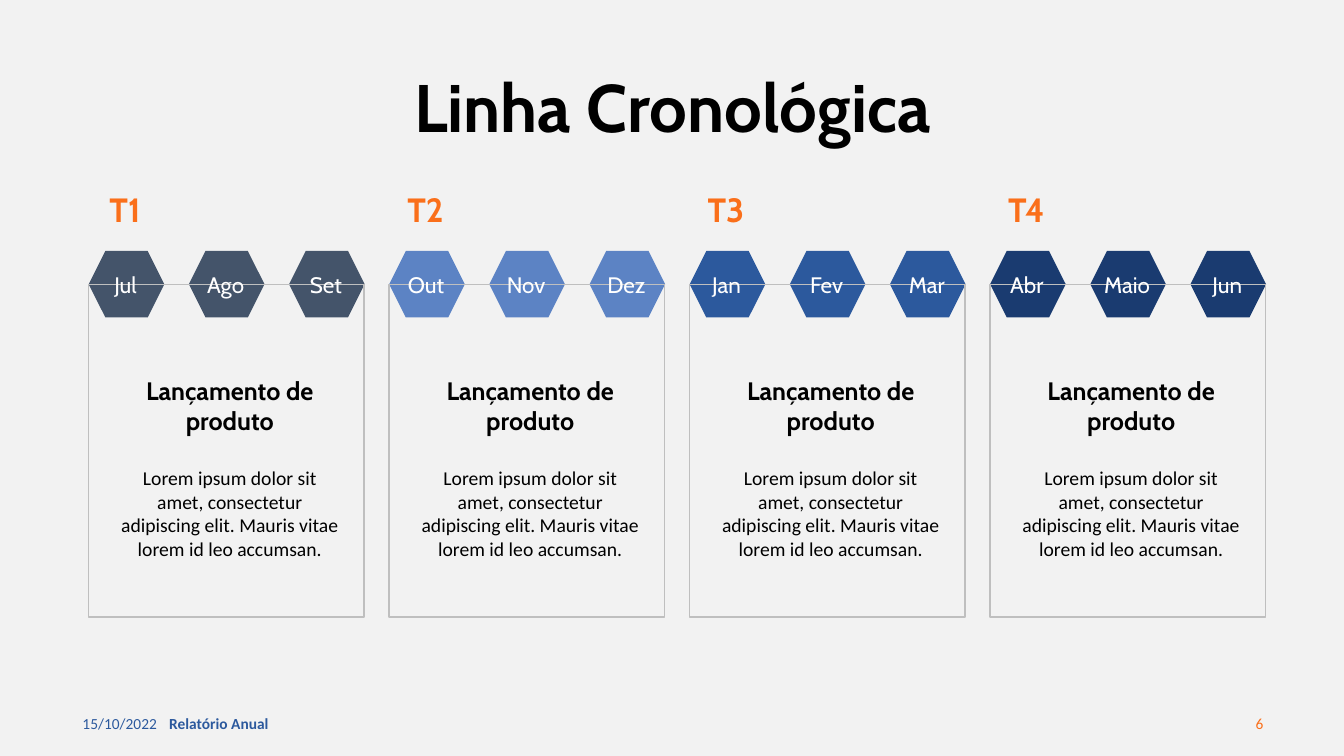
from pptx import Presentation
from pptx.dml.color import RGBColor
from pptx.enum.shapes import MSO_SHAPE
from pptx.enum.text import MSO_ANCHOR, PP_ALIGN
from pptx.util import Inches, Pt

HEXAGON, RECTANGLE = MSO_SHAPE.HEXAGON, MSO_SHAPE.RECTANGLE
LEFT, CENTER, RIGHT = PP_ALIGN.LEFT, PP_ALIGN.CENTER, PP_ALIGN.RIGHT
TOP, MIDDLE = MSO_ANCHOR.TOP, MSO_ANCHOR.MIDDLE

QUARTERS = [
    ("T1", "44546A", ["Jul", "Ago", "Set"]),
    ("T2", "5C83C4", ["Out", "Nov", "Dez"]),
    ("T3", "2C599D", ["Jan", "Fev", "Mar"]),
    ("T4", "1A3B70", ["Abr", "Maio", "Jun"]),
]
HEADING = "Lançamento de produto"
BODY = "Lorem ipsum dolor sit amet, consectetur adipiscing elit. Mauris vitae lorem id leo accumsan."
FOOTER = [
    (0.72, 3, "15/10/2022", "2C599D", False, LEFT),
    (1.58, 4.5, "Relatório Anual", "2C599D", True, LEFT),
    (9.63, 3, "6", "FA6F1A", False, RIGHT),
]
START = 0.88
QUARTER_STEP = 2.98
MONTH_STEP = QUARTER_STEP / 3


def add_run(p, text, size, font, color, bold=False, align=CENTER):
    p.alignment = align
    r = p.add_run()
    r.text = text
    r.font.size = Pt(size)
    r.font.name = font
    r.font.bold = bold
    r.font.color.rgb = RGBColor.from_string(color)


def add_box(left, top, width, height, anchor=TOP):
    sp = slide.shapes.add_textbox(Inches(left), Inches(top), Inches(width), Inches(height))
    tf = sp.text_frame
    tf.word_wrap = True
    tf.vertical_anchor = anchor
    return tf


prs = Presentation()
prs.slide_width, prs.slide_height = Inches(13.33), Inches(7.5)
slide = prs.slides.add_slide(prs.slide_layouts[5])
slide.background.fill.solid()
slide.background.fill.fore_color.rgb = RGBColor.from_string("F2F2F2")

title = slide.shapes.title
title.left, title.top = Inches(0.47), Inches(0.71)
title.width, title.height = Inches(12.4), Inches(0.77)
title.text_frame.vertical_anchor = MIDDLE
p = title.text_frame.paragraphs[0]
p.line_spacing = 0.9
add_run(p, "Linha Cronológica", 48, "Cabin", "000000", True)

for left, width, text, color, bold, align in FOOTER:
    tf = add_box(left, 6.98, width, 0.4, MIDDLE)
    add_run(tf.paragraphs[0], text, 11, "Calibri", color, bold, align)

for q, (quarter, color, months) in enumerate(QUARTERS):
    x = START + q * QUARTER_STEP
    month_lefts = [x + m * MONTH_STEP for m in range(len(months))]

    for left in month_lefts:
        sp = slide.shapes.add_shape(HEXAGON, Inches(left), Inches(2.49), Inches(0.75), Inches(0.66))
        sp.shadow.inherit = False
        sp.fill.solid()
        sp.fill.fore_color.rgb = RGBColor.from_string(color)
        sp.line.fill.background()

    sp = slide.shapes.add_shape(RECTANGLE, Inches(x), Inches(2.82), Inches(2.73), Inches(3.3))
    sp.shadow.inherit = False
    sp.fill.background()
    sp.line.color.rgb = RGBColor.from_string("BFBFBF")
    sp.line.width = Pt(1)

    for left, month in zip(month_lefts, months):
        tf = add_box(left - 0.05, 2.64, 0.83, 0.37)
        add_run(tf.paragraphs[0], month, 16, "Cabin", "FFFFFF")

    p = add_box(x + 0.03, 1.87, 0.66, 0.55).paragraphs[0]
    p.line_spacing = 0.9
    add_run(p, quarter, 24, "Cabin", "FA6F1A", True)

    tf = add_box(x + 0.21, 3.67, 2.28, 2.11)
    tf.margin_right = 0
    p = tf.paragraphs[0]
    p.space_after = Pt(22)
    add_run(p, HEADING, 18, "Cabin", "000000", True)
    add_run(tf.add_paragraph(), BODY, 14, "Calibri", "000000")

prs.save("out.pptx")
